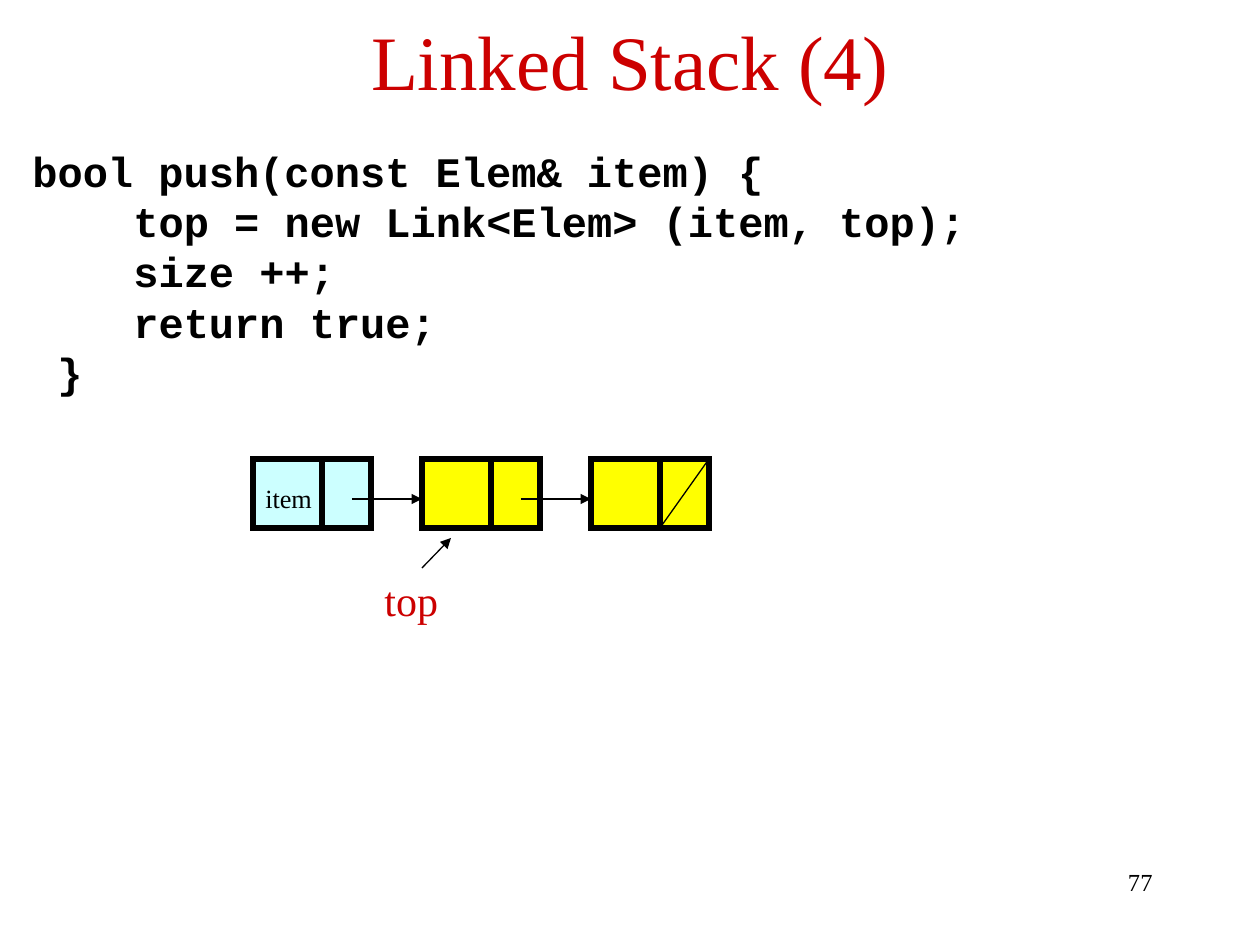
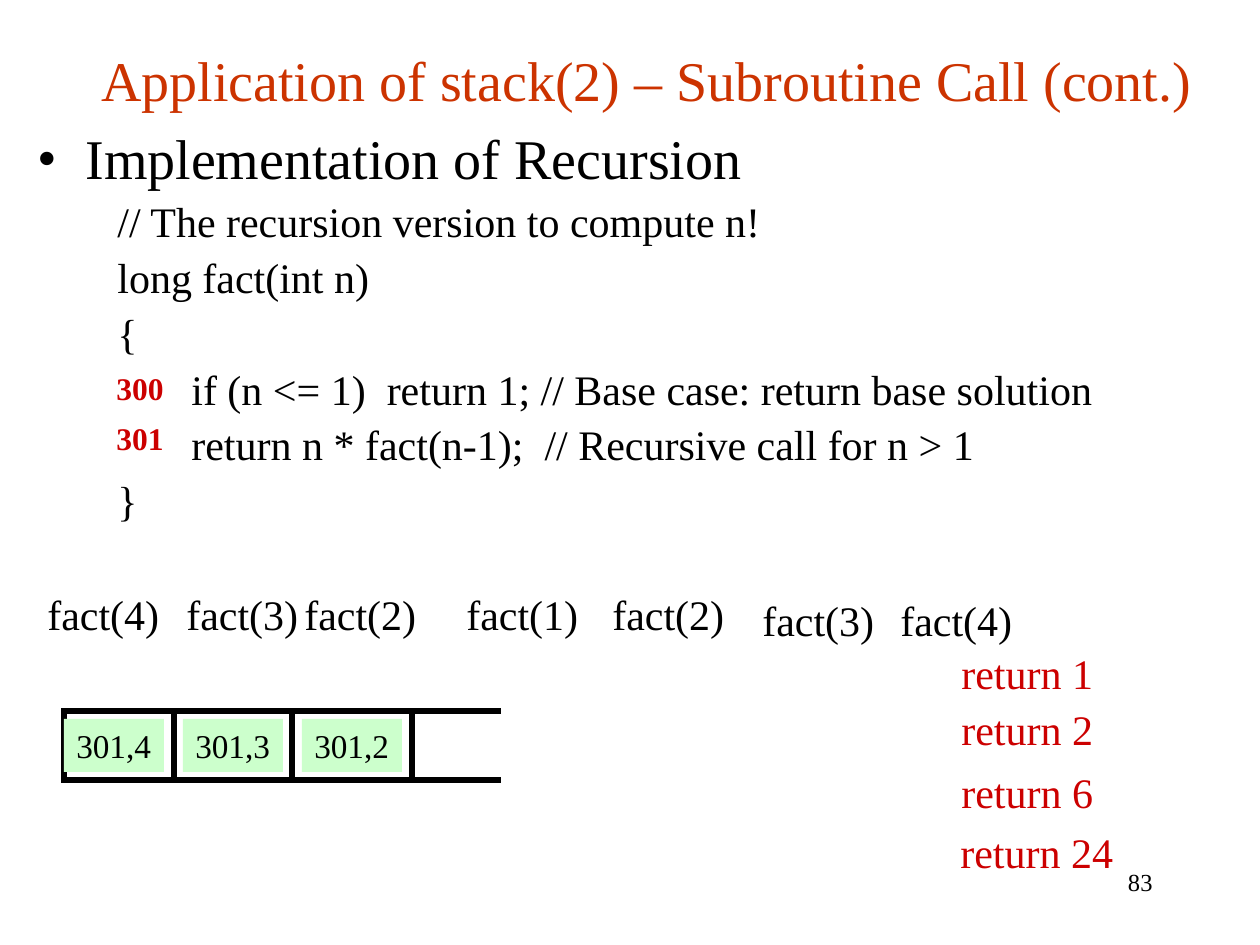
from lxml.etree import SubElement
from pptx import Presentation
from pptx.dml.color import RGBColor
from pptx.enum.shapes import MSO_CONNECTOR as Connector, MSO_SHAPE as Shape
from pptx.enum.text import MSO_ANCHOR as Anchor, MSO_AUTO_SIZE as AutoSize, PP_ALIGN as Align
from pptx.oxml.ns import qn
from pptx.util import Pt

PX = 914400 / 126
SERIF, MONO = "Times New Roman", "Courier New"
BLACK, RED, ORANGE = "000000", "CC0000", "CC3300"
YELLOW, CYAN, GREEN = "FFFF00", "CCFFFF", "CCFFCC"
THICK, THIN = 3, 0.75
NODE_WIDTH, NODE_HEIGHT, NODE_STEP, DATA_WIDTH = 118, 69, 169, 69


def emu(*lengths):
    return [round(length * PX) for length in lengths]


def rgb(value):
    return RGBColor.from_string(value)


def write(shape, lines, size, color=BLACK, font=SERIF, bold=False, align=Align.LEFT,
          anchor=Anchor.TOP, wrap=True, spacing=None, before=0):
    frame = shape.text_frame
    frame.text = "\n".join(lines)
    frame.word_wrap = wrap
    frame.auto_size = AutoSize.NONE if wrap else AutoSize.SHAPE_TO_FIT_TEXT
    frame.vertical_anchor = anchor
    for paragraph in frame.paragraphs:
        paragraph.alignment = align
        paragraph.space_before = Pt(before)
        if spacing:
            paragraph.line_spacing = spacing
        for run in paragraph.runs:
            run.font.name = font
            run.font.size = Pt(size)
            run.font.bold = bold
            run.font.color.rgb = rgb(color)
    return frame.paragraphs


def add_text(slide, box, lines, size, **style):
    return write(slide.shapes.add_textbox(*emu(*box)), lines, size, **style)


def add_label(slide, box, text, size=24, **style):
    add_text(slide, box, [text], size, wrap=False, **style)


def indent(paragraph, left, first=0):
    properties = paragraph._p.get_or_add_pPr()
    margin, offset = emu(left, first)
    properties.set("marL", str(margin))
    properties.set("indent", str(offset))
    return properties


def add_code(slide, box, lines, indents, **style):
    for paragraph, left in zip(add_text(slide, box, lines, 24, **style), indents):
        indent(paragraph, left)


def add_bullet(slide, box, text):
    paragraph = add_text(slide, box, [text], 32, spacing=0.9, before=8)[0]
    properties = indent(paragraph, 48, -48)
    SubElement(properties, qn("a:buFont")).set("typeface", SERIF)
    SubElement(properties, qn("a:buChar")).set("char", "•")


def add_title(slide, box, text, size, color):
    add_text(slide, box, [text], size, color=color, align=Align.CENTER, anchor=Anchor.MIDDLE)


def add_page_number(slide, number):
    add_text(slide, (903, 861, 262, 63), [number], 14, align=Align.RIGHT)


def add_box(slide, box, fill=None, outlined=True):
    shape = slide.shapes.add_shape(Shape.RECTANGLE, *emu(*box))
    shape.shadow.inherit = False
    if fill:
        shape.fill.solid()
        shape.fill.fore_color.rgb = rgb(fill)
    else:
        shape.fill.background()
    if outlined:
        shape.line.color.rgb = rgb(BLACK)
        shape.line.width = Pt(THICK)
        SubElement(shape.line._ln, qn("a:miter")).set("lim", "800000")
    else:
        shape.line.fill.background()
    return shape


def add_line(slide, ends, width=THIN, arrow=False):
    connector = slide.shapes.add_connector(Connector.STRAIGHT, *emu(*ends))
    connector.line.color.rgb = rgb(BLACK)
    connector.line.width = Pt(width)
    if arrow:
        SubElement(connector.line._ln, qn("a:tailEnd")).set("type", "triangle")
    SubElement(connector._element.spPr, qn("a:effectLst"))


def add_node(slide, left, top, fill):
    add_box(slide, (left, top, NODE_WIDTH, NODE_HEIGHT), fill)
    divider = left + DATA_WIDTH
    add_line(slide, (divider, top, divider, top + NODE_HEIGHT), THICK)


def build_push(slide):
    add_page_number(slide, "77")
    add_code(slide, (-5, 139, 1260, 315),
             ["bool push(const Elem& item) {", "top = new Link<Elem> (item, top);",
              "size ++;", "return true;", "}"],
             [25, 126, 126, 126, 50], font=MONO, bold=True)
    add_title(slide, (63, -3, 1134, 126), "Linked Stack (4)", 44, RED)
    first, top = 253, 459
    lefts = [first + NODE_STEP * index for index in range(3)]
    for left, fill in zip(lefts, (CYAN, YELLOW, YELLOW)):
        add_node(slide, left, top, fill)
    for left, following in zip(lefts, lefts[1:]):
        add_line(slide, (left + 99, 499, following, 499), arrow=True)
    last = lefts[-1]
    add_line(slide, (last + NODE_WIDTH, top, last + DATA_WIDTH, top + NODE_HEIGHT))
    add_label(slide, (first, 476, 73, 44), "item", 15)
    add_label(slide, (372, 568, 80, 63), "top", color=RED)
    add_line(slide, (422, 568, 451, 538), arrow=True)


def build_recursion(slide):
    add_page_number(slide, "83")
    add_title(slide, (34, 0, 1226, 158),
              "Application of stack(2) – Subroutine Call (cont.)", 32, ORANGE)
    add_bullet(slide, (25, 125, 1061, 79), "Implementation of Recursion")
    add_code(slide, (105, 195, 1071, 338),
             ["// The recursion version to compute n!", "long fact(int n)", "{",
              "if (n <= 1)  return 1; // Base case: return base solution",
              "return n * fact(n-1);  // Recursive call for n > 1", "}"],
             [0, 0, 0, 74, 74, 0], spacing=0.9, before=6)
    for address, top in (("300", 363), ("301", 413)):
        add_label(slide, (104, top, 74, 50), address, 18, color=RED, bold=True)

    stack_top, stack_height = 711, 69
    edges = [64, 174, 292, 412]
    for left, right in zip(edges, edges[1:]):
        add_box(slide, (left, stack_top, right - left, stack_height))
    for y in (stack_top, stack_top + stack_height):
        add_line(slide, (edges[-1], y, 501, y), THICK)
    for index, entry in enumerate(("301,4", "301,3", "301,2")):
        cell = add_box(slide, (64 + 119 * index, 719, 100, 53), GREEN, outlined=False)
        write(cell, [entry], 19, wrap=False)

    calls = [(4, 35, 582), (3, 174, 582), (2, 292, 582), (1, 454, 582),
             (2, 600, 582), (3, 750, 588), (4, 888, 588)]
    for argument, left, top in calls:
        add_label(slide, (left, top, 137, 63), f"fact({argument})")
    results = [(1, 949, 641, 158), (2, 949, 697, 158), (6, 949, 760, 158), (24, 948, 820, 178)]
    for value, left, top, width in results:
        add_label(slide, (left, top, width, 63), f"return {value}", color=RED)


def main():
    presentation = Presentation()
    presentation.slide_width, presentation.slide_height = emu(1260, 945)
    blank = presentation.slide_layouts[6]
    for build in (build_push, build_recursion):
        build(presentation.slides.add_slide(blank))
    presentation.save("out.pptx")


if __name__ == "__main__":
    main()
